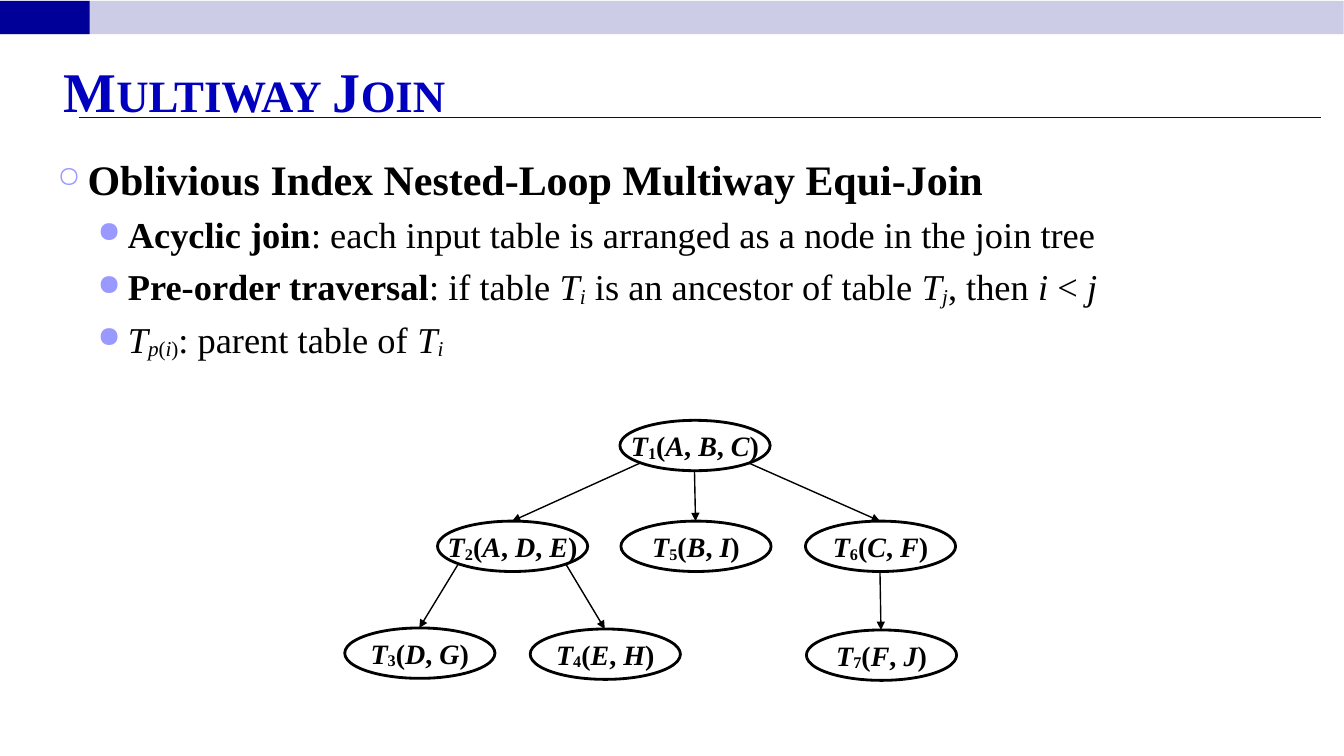
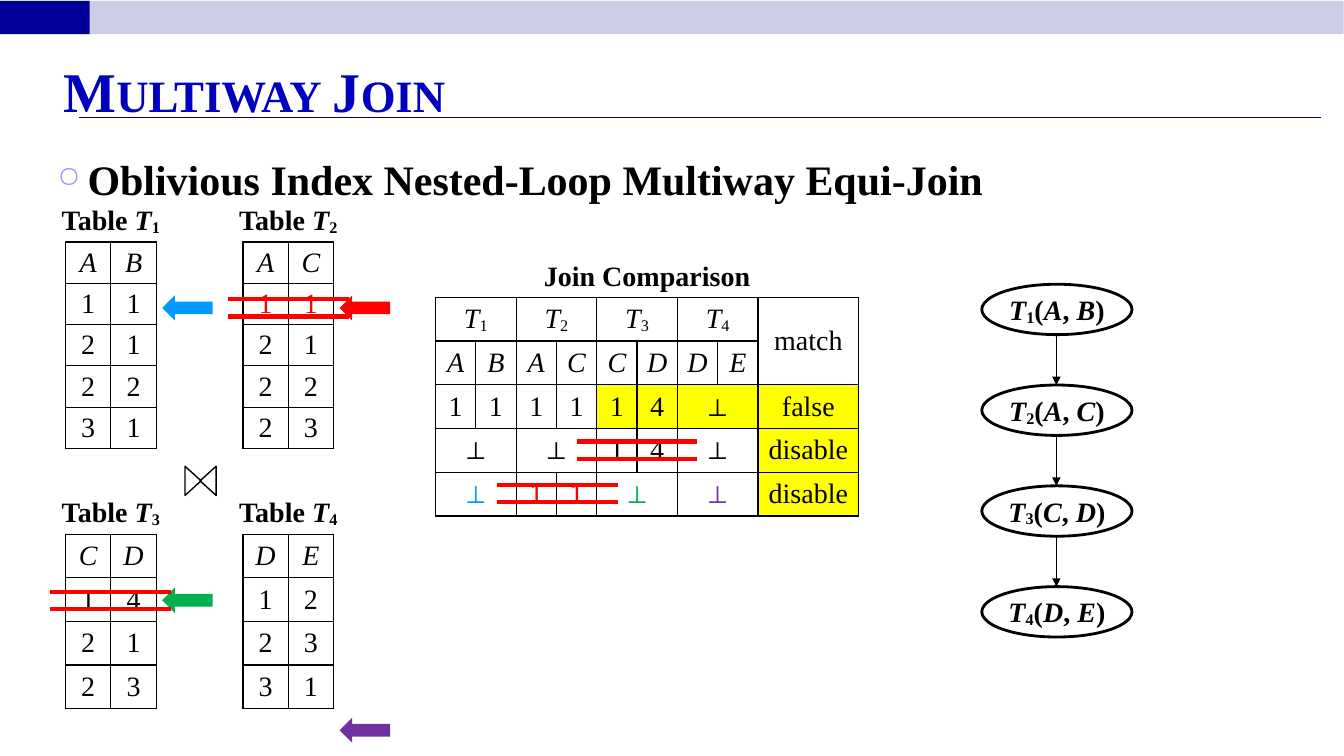
from lxml import etree
from pptx import Presentation
from pptx import util as u
from pptx.dml.color import RGBColor
from pptx.enum import shapes, text
from pptx.oxml import ns

SCALE = 9144
FONT = "Times New Roman"
COLORS = {
    "black": "000000",
    "title": "0000BE",
    "navy": "000099",
    "band": "CCCCE6",
    "bullet": "9999FF",
    "red": "FF0000",
    "blue": "0099FF",
    "green": "00B050",
    "purple": "7030A0",
    "yellow": "FFFF00",
}
TITLE = "Multiway Join"
HEADING = "Oblivious Index Nested-Loop Multiway Equi-Join"
BULLETS = [("○", 70, 30, 30), ("●", 80, 70, 26)]
BOLD, ITALIC, SUBSCRIPT = "*/_"
NODE_WIDTH, NODE_HEIGHT = 149, 50


def px(length):
    return u.Emu(length * SCALE)


def rgb(color):
    return RGBColor.from_string(COLORS[color])


def sub(parent, tag, **attributes):
    return etree.SubElement(parent, ns.qn(tag), attributes)


def relation(index, columns):
    return f"/T/_{index}_(" + ", ".join(f"/{column}/" for column in columns) + ")"


class Deck:
    def __init__(self):
        self.presentation = Presentation()
        self.presentation.slide_width = u.Inches(40 / 3)
        self.presentation.slide_height = px(750)
        self.slide = None

    def new_slide(self, title):
        layout = self.presentation.slide_layouts[5]
        self.slide = self.presentation.slides.add_slide(layout)
        self.shape("RECTANGLE", 0, 1, 1333, 33, fill="band")
        self.shape("RECTANGLE", 0, 1, 89, 33, fill="navy")
        self.line((78, 117), (1311, 117), "navy", 0.75)
        placeholder = self.slide.shapes.title
        placeholder.left, placeholder.top = px(53), px(52)
        placeholder.width, placeholder.height = px(1225), px(74)
        frame = placeholder.text_frame
        frame.auto_size = text.MSO_AUTO_SIZE.NONE
        paragraph = frame.paragraphs[0]
        self.fill_paragraph(paragraph, title, 40, "title", bold=True, align="LEFT")
        paragraph.runs[0]._r.get_or_add_rPr().set("cap", "small")

    def fill_paragraph(self, paragraph, markup, size=20, color="black", bold=False,
                       align="CENTER"):
        paragraph.alignment = text.PP_ALIGN[align]
        font = paragraph.font
        font.name, font.size, font.bold = FONT, u.Pt(size), bold
        font.color.rgb = rgb(color)
        active, piece = set(), ""
        for char in markup + BOLD:
            if char not in (BOLD, ITALIC, SUBSCRIPT):
                piece += char
                continue
            if piece:
                run = paragraph.add_run()
                run.text = piece
                if BOLD in active:
                    run.font.bold = True
                if ITALIC in active:
                    run.font.italic = True
                if SUBSCRIPT in active:
                    run._r.get_or_add_rPr().set("baseline", "-10000")
            active ^= {char}
            piece = ""

    def textbox(self, left, top, width, height):
        box = self.slide.shapes.add_textbox(px(left), px(top), px(width), px(height))
        box.text_frame.word_wrap = True
        return box.text_frame

    def label(self, left, top, width, markup):
        frame = self.textbox(left, top, width, 44)
        self.fill_paragraph(frame.paragraphs[0], markup, bold=True)

    def body(self, items):
        frame = self.textbox(47, 147, 1197, 548)
        for number, (level, markup) in enumerate(items):
            paragraph = frame.add_paragraph() if number else frame.paragraphs[0]
            char, percent, indent, size = BULLETS[level]
            properties = paragraph._p.get_or_add_pPr()
            properties.set("marL", str(px(indent)))
            properties.set("indent", str(px(-30)))
            sub(sub(properties, "a:buClr"), "a:srgbClr", val=COLORS["bullet"])
            sub(properties, "a:buSzPct", val=str(percent * 1000))
            sub(properties, "a:buChar", char=char)
            paragraph.level = level
            paragraph.space_before = u.Pt(6)
            self.fill_paragraph(paragraph, markup, size, bold=level == 0, align="LEFT")

    def shape(self, kind, left, top, width, height, fill=None, outline=0, rotation=0):
        shape = self.slide.shapes.add_shape(
            shapes.MSO_SHAPE[kind], px(left), px(top), px(width), px(height))
        shape.shadow.inherit = False
        shape.rotation = rotation
        if fill:
            shape.fill.solid()
            shape.fill.fore_color.rgb = rgb(fill)
        else:
            shape.fill.background()
        if outline:
            shape.line.color.rgb = rgb("black")
            shape.line.width = u.Pt(outline)
        else:
            shape.line.fill.background()
        return shape

    def line(self, start, end, color="black", width=1, arrow=False):
        connector = self.slide.shapes.add_connector(
            shapes.MSO_CONNECTOR.STRAIGHT, *map(px, start + end))
        connector.line.color.rgb = rgb(color)
        connector.line.width = u.Pt(width)
        properties = connector._element.spPr
        if arrow:
            sub(properties.find(ns.qn("a:ln")), "a:tailEnd", type="triangle")
        sub(properties, "a:effectLst")

    def node(self, left, top, markup):
        shape = self.shape("OVAL", left, top, NODE_WIDTH, NODE_HEIGHT, outline=2)
        frame = shape.text_frame
        frame.word_wrap = False
        frame.margin_left = frame.margin_right = 0
        frame.margin_top = frame.margin_bottom = 0
        frame.vertical_anchor = text.MSO_ANCHOR.MIDDLE
        self.fill_paragraph(frame.paragraphs[0], markup, bold=True)

    def tree(self, nodes, edges):
        for index, (left, top, columns) in nodes.items():
            self.node(left, top, relation(index, columns))
        for parent, child, side in edges:
            left, top, _ = nodes[parent]
            child_left, child_top, _ = nodes[child]
            middle = NODE_WIDTH // 2
            start = (left + middle + 53 * side, top + NODE_HEIGHT - 8 * abs(side))
            self.line(start, (child_left + middle, child_top), arrow=True)

    def table(self, left, top, width, height, rows, widths=(), inks=None, fills=()):
        rows = [row.split() for row in rows]
        table = self.slide.shapes.add_table(
            len(rows), len(rows[0]), px(left), px(top), px(width), px(height)).table
        table.first_row = table.horz_banding = False
        for column, column_width in zip(table.columns, widths):
            column.width = px(column_width)
        for r, row in enumerate(rows):
            for c, markup in enumerate(row):
                cell = table.cell(r, c)
                self.format_cell(cell, "yellow" if (r, c) in fills else None)
                if markup == "<":
                    table.cell(r, c - 1).merge(cell)
                elif markup == "^":
                    table.cell(r - 1, c).merge(cell)
                else:
                    ink = (inks or {}).get((r, c), "black")
                    self.fill_paragraph(cell.text_frame.paragraphs[0], markup, color=ink)

    def format_cell(self, cell, fill):
        cell.margin_left = cell.margin_right = cell.margin_top = cell.margin_bottom = 0
        cell.vertical_anchor = text.MSO_ANCHOR.MIDDLE
        properties = cell._tc.get_or_add_tcPr()
        for side in "LRTB":
            border = sub(properties, f"a:ln{side}", w=str(u.Pt(1)))
            sub(sub(border, "a:solidFill"), "a:srgbClr", val=COLORS["black"])
        if fill:
            cell.fill.solid()
            cell.fill.fore_color.rgb = rgb(fill)
        else:
            cell.fill.background()

    def strike(self, left, top):
        for y in (top, top + 17):
            self.line((left, y), (left + 120, y), "red", 3)


def build_join_tree(deck):
    deck.new_slide(TITLE)
    deck.body([
        (0, HEADING),
        (1, "*Acyclic join*: each input table is arranged as a node in the join tree"),
        (1, "*Pre-order traversal*: if table /T_i_/ is an ancestor of table /T_j_/, "
            "then /i/ < /j/"),
        (1, "/T_p/(/i/)_: parent table of /T_i_/"),
    ])
    nodes = {
        1: (615, 417, "ABC"),
        2: (434, 517, "ADE"),
        3: (342, 623, "DG"),
        4: (526, 624, "EH"),
        5: (616, 517, "BI"),
        6: (799, 517, "CF"),
        7: (800, 625, "FJ"),
    }
    deck.tree(nodes, [(1, 2, -1), (1, 5, 0), (1, 6, 1), (2, 3, -1), (2, 4, 1), (6, 7, 0)])


def build_join_example(deck):
    deck.new_slide(TITLE)
    deck.body([(0, HEADING)])
    red_row = {(1, 0): "red", (1, 1): "red"}
    inputs = [
        (65, 240, 205, ["/A/ /B/", "1 1", "2 1", "2 2", "3 1"], None),
        (241, 240, 205, ["/A/ /C/", "1 1", "2 1", "2 2", "2 3"], red_row),
        (65, 530, 173, ["/C/ /D/", "1 4", "2 1", "2 3"], None),
        (241, 530, 173, ["/D/ /E/", "1 2", "2 3", "3 1"], None),
    ]
    for index, (left, top, height, rows, inks) in enumerate(inputs, 1):
        deck.label(left - 15, top - 44, 120, f"Table /T/_{index}_")
        deck.table(left, top, 90, height, rows, inks=inks)
    for left, rotation in ((177, 90), (192, 270)):
        deck.shape("ISOSCELES_TRIANGLE", left, 469, 29, 16, outline=1, rotation=rotation)

    deck.label(432, 252, 420, "Join Comparison")
    deck.table(
        432, 295, 420, 217,
        ["/T/_1_ < /T/_2_ < /T/_3_ < /T/_4_ < match",
         "/A/ /B/ /A/ /C/ /C/ /D/ /D/ /E/ ^",
         "1 1 1 1 1 4 ⊥ < false",
         "⊥ < ⊥ < 1 4 ⊥ < disable",
         "⊥ < 1 1 ⊥ < ⊥ < disable"],
        widths=[40] * 8 + [100],
        inks={(4, 0): "blue", (4, 2): "red", (4, 3): "red",
              (4, 4): "green", (4, 6): "purple"},
        fills={(2, 4), (2, 5), (2, 6), (2, 7), (2, 8), (3, 8), (4, 8)})

    for left, top, color in ((161, 293, "blue"), (337, 293, "red"),
                             (161, 583, "green"), (337, 712, "purple")):
        deck.shape("LEFT_ARROW", left, top, 50, 25, fill=color)
    for left, top in ((50, 587), (493, 481), (226, 297), (572, 438)):
        deck.strike(left, top)

    nodes = {index: (974, 182 + 100 * index, columns)
             for index, columns in enumerate(("AB", "AC", "CD", "DE"), 1)}
    deck.tree(nodes, [(index, index + 1, 0) for index in (1, 2, 3)])


def main():
    deck = Deck()
    build_join_tree(deck)
    build_join_example(deck)
    deck.presentation.save("out.pptx")


if __name__ == "__main__":
    main()
